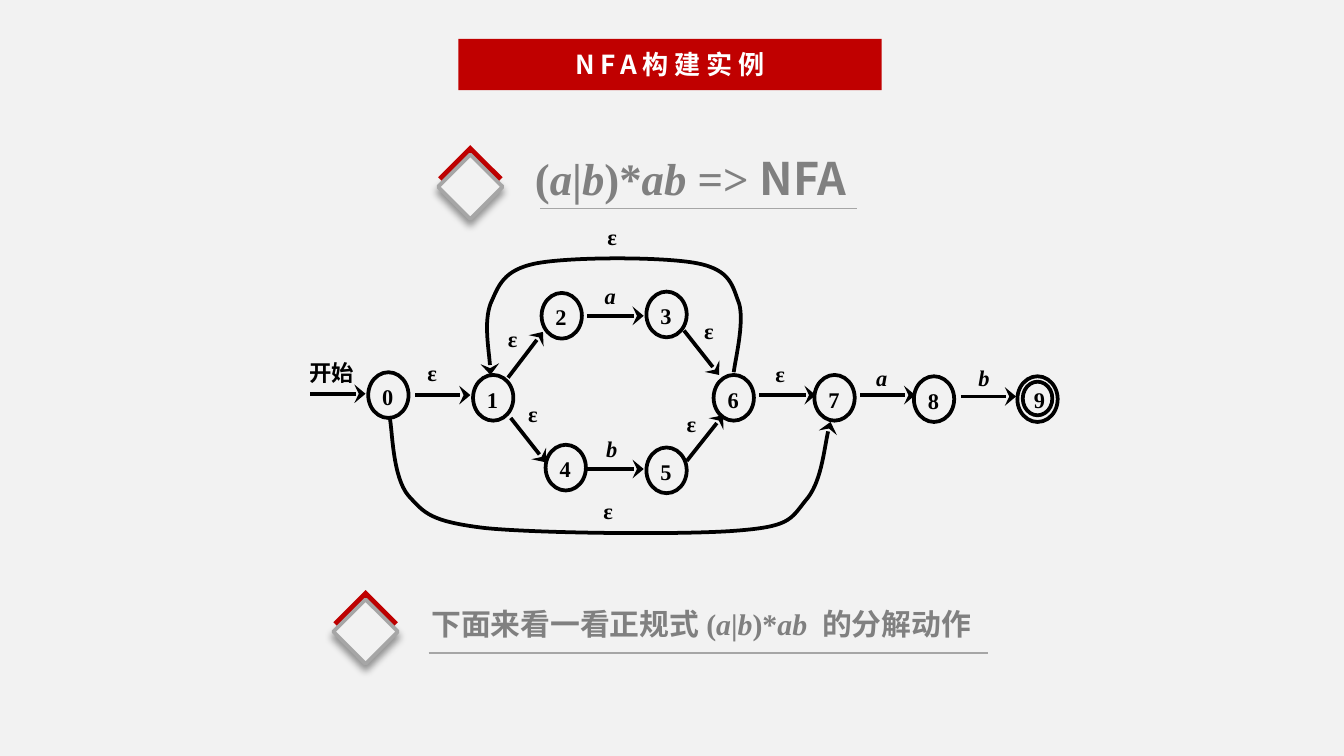
from lxml import etree
from pptx import Presentation
from pptx.dml.color import RGBColor
from pptx.enum.shapes import MSO_CONNECTOR, MSO_SHAPE
from pptx.enum.text import MSO_ANCHOR, MSO_AUTO_SIZE, PP_ALIGN
from pptx.oxml.ns import qn
from pptx.util import Pt

PX = 9144
RECT, OVAL, GEM = MSO_SHAPE.RECTANGLE, MSO_SHAPE.OVAL, MSO_SHAPE.FLOWCHART_DECISION
STRAIGHT = MSO_CONNECTOR.STRAIGHT
LEFT, CENTER, JUSTIFY = PP_ALIGN.LEFT, PP_ALIGN.CENTER, PP_ALIGN.JUSTIFY
TOP, MIDDLE = MSO_ANCHOR.TOP, MSO_ANCHOR.MIDDLE
FIT = MSO_AUTO_SIZE.SHAPE_TO_FIT_TEXT
SANS, SERIF = "Noto Sans CJK SC", "Times New Roman"
COLORS = {"back": "F2F2F2", "red": "C00000", "white": "FFFFFF",
          "text": "808080", "rule": "A6A6A6", "ink": "000000"}
FORMULA = [("(", SERIF, False), ("a", SERIF, True), ("|", SERIF, False),
           ("b", SERIF, True), (")*", SERIF, False)]
NODES = [(50, 114), (128, 116), (179, 55), (257, 54), (182, 168),
         (257, 170), (307, 116), (382, 116), (456, 117), (533, 117)]
ARROWS = [(7, 130, 48, 130), (85, 131, 126, 131), (154, 118, 180, 84),
          (213, 72, 255, 72), (285, 83, 311, 116), (156, 148, 182, 181),
          (213, 186, 255, 186), (287, 180, 314, 146), (341, 131, 383, 131),
          (416, 131, 457, 131), (491, 132, 532, 132)]
LABELS = {"ε": [(88, 101), (148, 76), (163, 132), (294, 70), (281, 139),
                (219, 204), (222, 0), (347, 102)],
          "a": [(220, 44), (422, 105)],
          "b": [(221, 158), (498, 105)]}
CURVES = [
    [(66, 148), (68, 157), (68, 192), (80, 206), (92, 219), (96, 225),
     (137, 230), (178, 234), (284, 235), (323, 232), (363, 229), (364, 224),
     (375, 210), (387, 197), (390, 163), (394, 151)],
    [(322, 114), (323, 105), (330, 77), (326, 63), (321, 50), (320, 38),
     (295, 33), (270, 28), (201, 28), (175, 33), (150, 38), (147, 50),
     (141, 63), (136, 77), (141, 105), (141, 116)],
]


def color(name):
    """Return a palette colour."""
    return RGBColor.from_string(COLORS[name])


def scale(*sizes):
    """Turn px lengths into EMU."""
    return [size * PX for size in sizes]


def stroke(item, name, width):
    """Give an item a solid outline."""
    item.line.color.rgb = color(name)
    item.line.width = Pt(width)


def point(item):
    """Put a wide arrowhead at the end of a line."""
    ln = item.element.spPr.find(qn("a:ln"))
    etree.SubElement(ln, qn("a:tailEnd"), type="stealth", w="lg", len="med")


def write(item, runs, size, name, inset=(7, 4, 7, 4), align=LEFT, anchor=TOP, wrap=True):
    """Fill an item with one bold paragraph of (text, font, italic) runs."""
    frame = item.text_frame
    frame.word_wrap = wrap
    frame.vertical_anchor = anchor
    (frame.margin_left, frame.margin_top,
     frame.margin_right, frame.margin_bottom) = scale(*inset)
    para = frame.paragraphs[0]
    para.alignment = align
    for text, face, slant in runs:
        run = para.add_run()
        run.text = text
        font = run.font
        font.name, font.size = face, Pt(size)
        font.bold, font.italic = True, slant
        font.color.rgb = color(name)
        etree.SubElement(font._element, qn("a:ea"), typeface=SANS)


def draw(shapes, kind, box, fill=None, edge=None):
    """Add a flat preset shape."""
    item = shapes.add_shape(kind, *scale(*box))
    item.shadow.inherit = False
    if fill:
        item.fill.solid()
        item.fill.fore_color.rgb = color(fill)
    else:
        item.fill.background()
    if edge:
        stroke(item, edge, 2)
    else:
        item.line.fill.background()
    return item


def join(shapes, ends, name, width):
    """Add a straight line without shadow."""
    item = shapes.add_connector(STRAIGHT, *scale(*ends))
    stroke(item, name, width)
    etree.SubElement(item.element.spPr, qn("a:effectLst"))
    return item


def curve(shapes, dots):
    """Add an arrow through cubic segments of three points each."""
    pen = shapes.build_freeform(*dots[0], scale=PX)
    pen.add_line_segments(dots[1:], close=False)
    item = pen.convert_to_shape()
    item.shadow.inherit = False
    item.fill.background()
    stroke(item, "ink", 2)
    point(item)
    steps = list(item.element.iter(qn("a:lnTo")))
    for start in range(0, len(steps), 3):
        bend = etree.Element(qn("a:cubicBezTo"))
        steps[start].addprevious(bend)
        for step in steps[start:start + 3]:
            bend.append(step[0])
            step.getparent().remove(step)


def banner(shapes, box):
    """Draw the title bar."""
    item = draw(shapes, RECT, box, "red")
    write(item, [("NFA构建实例", SANS, False)], 14, "white", align=CENTER, anchor=MIDDLE)
    item.text_frame.paragraphs[0].runs[0].font._element.set("spc", "300")


def heading(shapes, x, y, runs, size, box, rule):
    """Draw a diamond marker with a line of underlined text."""
    left, top, wide, high = box
    item = shapes.add_textbox(*scale(x + left, y + top, wide, high))
    write(item, runs, size, "text", wrap=False)
    item.text_frame.auto_size = FIT
    join(shapes, (x + rule[0], y + 47, x + rule[1], y + 47), "rule", 0.75)
    group = shapes.add_group_shape().shapes
    draw(group, GEM, (x, y, 48, 48), "red")
    gem = draw(group, GEM, (x, y + 7, 48, 48), "back", "rule")
    glow = etree.SubElement(gem.element.spPr.find(qn("a:effectLst")), qn("a:outerShdw"),
                            blurRad=str(Pt(4)), dist=str(Pt(3)), dir="5400000",
                            algn="t", rotWithShape="0")
    shade = etree.SubElement(glow, qn("a:srgbClr"), val=COLORS["ink"])
    etree.SubElement(shade, qn("a:alpha"), val="40000")


def label(shapes, box, text, slant):
    """Add a small caption to the graph."""
    item = shapes.add_textbox(*scale(*box))
    write(item, [(text, SERIF, slant)], 12, "ink", (6, 3, 6, 3), JUSTIFY)


def graph(shapes, x, y):
    """Draw the automaton with its states, arrows and labels."""
    group = shapes.add_group_shape().shapes
    last = len(NODES) - 1
    for num, (left, top) in enumerate(NODES):
        node = draw(group, OVAL, (x + left, y + top, 30, 34), edge="ink")
        inset, align = (6, 3, 2, 5), LEFT
        if num == last:
            node = draw(group, OVAL, (x + left + 4, y + top + 4, 22, 25), edge="ink")
            inset, align = (5, 0, 1, 0), JUSTIFY
        write(node, [(str(num), SERIF, False)], 12, "ink", inset, align)
    for x1, y1, x2, y2 in ARROWS:
        point(join(group, (x + x1, y + y1, x + x2, y + y2), "ink", 2))
    for dots in CURVES:
        curve(group, [(x + left, y + top) for left, top in dots])
    label(group, (x, y + 101, 49, 32), "开始", False)
    for text, spots in LABELS.items():
        for left, top in spots:
            label(group, (x + left, y + top, 27, 28), text, text != "ε")


def main():
    """Build and save the slide."""
    deck = Presentation()
    deck.slide_width = 1000 * PX
    deck.slide_height = deck.slide_width * 9 // 16
    slide = deck.slides.add_slide(deck.slide_layouts[6])
    slide.background.fill.solid()
    slide.background.fill.fore_color.rgb = color("back")
    shapes = slide.shapes
    banner(shapes, (341, 29, 315, 38))
    goal = FORMULA + [("ab ", SERIF, True), ("=> ", SERIF, False), ("NFA", SANS, False)]
    heading(shapes, 326, 108, goal, 24, (65, 0, 258, 48), (76, 312))
    note = [("下面来看一看正规式 ", SANS, False), *FORMULA,
            ("ab  ", SERIF, True), ("的分解动作", SANS, False)]
    heading(shapes, 248, 439, note, 16, (66, 8, 433, 34), (71, 487))
    graph(shapes, 224, 163)
    deck.save("out.pptx")


if __name__ == "__main__":
    main()
